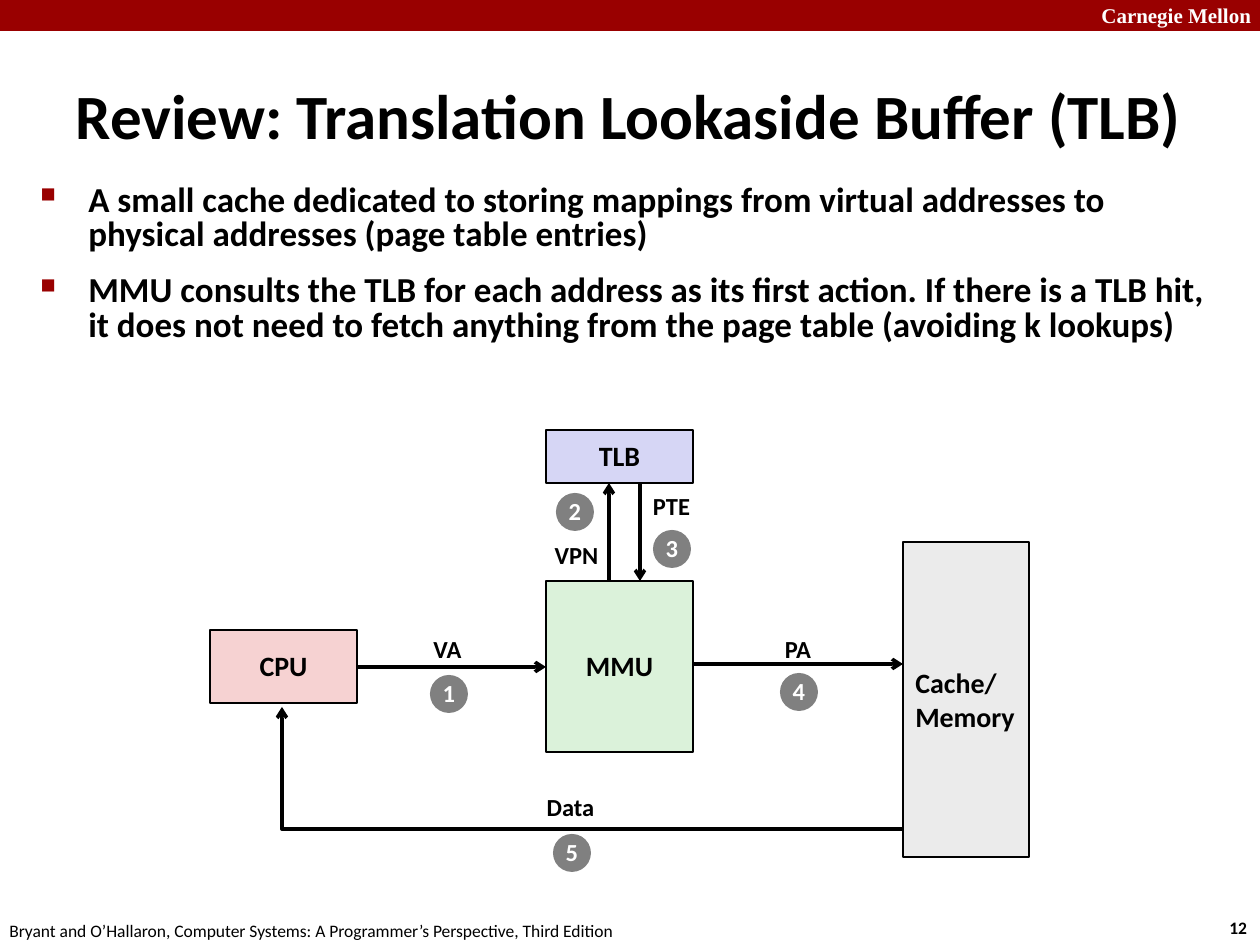
from dataclasses import dataclass
from typing import Any

from lxml import etree
from pptx import Presentation
from pptx.dml.color import RGBColor
from pptx.enum.shapes import MSO_CONNECTOR, MSO_SHAPE
from pptx.enum.text import MSO_ANCHOR, MSO_AUTO_SIZE, PP_ALIGN
from pptx.oxml.ns import qn
from pptx.util import Emu, Pt

RECTANGLE, OVAL = MSO_SHAPE.RECTANGLE, MSO_SHAPE.OVAL
STRAIGHT, ELBOW = MSO_CONNECTOR.STRAIGHT, MSO_CONNECTOR.ELBOW
LEFT, CENTER = PP_ALIGN.LEFT, PP_ALIGN.CENTER
TOP, MIDDLE = MSO_ANCHOR.TOP, MSO_ANCHOR.MIDDLE
NO_AUTOFIT = MSO_AUTO_SIZE.NONE

PX_PER_INCH = 126
BADGE_SIZE = 38
LABEL_HEIGHT = 42
COLORS = {
    "black": "000000",
    "white": "FFFFFF",
    "crimson": "990000",
    "badge": "808080",
    "cpu": "F6D2D2",
    "mmu": "DBF2DA",
    "tlb": "D6D6F5",
    "memory": "EBEBEB",
}


@dataclass(frozen=True)
class Box:
    left: int
    top: int
    width: int
    height: int


@dataclass(frozen=True)
class TextStyle:
    size: int
    bold: bool = True
    color: str = "black"
    font: str = "Calibri"
    align: Any = LEFT
    anchor: Any = MIDDLE
    wrap: bool = False
    spacing: float = 1.0


@dataclass(frozen=True)
class Unit:
    text: str
    box: Box
    fill: str
    style: TextStyle
    line_width: float = 1


@dataclass(frozen=True)
class Label:
    text: str
    left: int
    top: int
    width: int


@dataclass(frozen=True)
class Badge:
    number: int
    left: int
    top: int


@dataclass(frozen=True)
class Arrow:
    start: tuple[int, int]
    end: tuple[int, int]
    kind: Any = STRAIGHT


UNIT_STYLE = TextStyle(16, align=CENTER, spacing=0.98)
LABEL_STYLE = TextStyle(14, align=CENTER, spacing=0.98)
BADGE_STYLE = TextStyle(14, color="white", align=CENTER, spacing=0.98)
TITLE_STYLE = TextStyle(36, wrap=True)
BULLET_STYLE = TextStyle(20, anchor=TOP, wrap=True, spacing=0.83)

TITLE = "Review: Translation Lookaside Buffer (TLB)"
BULLETS = [
    "A small cache dedicated to storing mappings from virtual addresses to "
    "physical addresses (page table entries)",
    "MMU consults the TLB for each address as its first action. If there is a "
    "TLB hit, it does not need to fetch anything from the page table "
    "(avoiding k lookups)",
]
MARGIN_TEXTS = [
    ("Carnegie Mellon", Box(1089, -4, 180, 38),
     TextStyle(12, color="white", font="Times New Roman", anchor=TOP)),
    ("12", Box(1217, 911, 47, 34), TextStyle(10, anchor=TOP)),
    ("Bryant and O’Hallaron, Computer Systems: A Programmer’s Perspective, Third Edition",
     Box(-3, 914, 640, 34), TextStyle(10, bold=False, anchor=TOP)),
]
UNITS = [
    Unit("MMU", Box(546, 581, 147, 171), "mmu", UNIT_STYLE),
    Unit("Cache/\nMemory", Box(903, 542, 126, 315), "memory", TextStyle(16), 1.5),
    Unit("CPU", Box(210, 630, 147, 73), "cpu", UNIT_STYLE),
    Unit("TLB", Box(546, 430, 147, 53), "tlb", UNIT_STYLE),
]
ARROWS = [
    Arrow((357, 667), (546, 667)),
    Arrow((693, 664), (903, 664)),
    Arrow((903, 829), (282, 707), ELBOW),
    Arrow((609, 581), (609, 483)),
    Arrow((640, 483), (640, 581)),
]
LABELS = [
    Label("VA", 421, 629, 53),
    Label("PA", 772, 629, 52),
    Label("Data", 534, 787, 73),
    Label("VPN", 542, 535, 69),
    Label("PTE", 640, 486, 63),
]
BADGES = [
    Badge(1, 430, 675),
    Badge(2, 556, 493),
    Badge(3, 653, 530),
    Badge(4, 780, 673),
    Badge(5, 553, 834),
]


def px(value: int) -> Emu:
    return Emu(round(value * 914400 / PX_PER_INCH))


def color(name: str) -> RGBColor:
    return RGBColor.from_string(COLORS[name])


def frame(box: Box) -> list[Emu]:
    return [px(value) for value in (box.left, box.top, box.width, box.height)]


def set_all(target: Any, values: dict[str, Any]) -> None:
    for name, value in values.items():
        setattr(target, name, value)


def write_text(shape: Any, text: str, style: TextStyle) -> None:
    text_frame = shape.text_frame
    text_frame.text = text
    set_all(text_frame, {"auto_size": NO_AUTOFIT, "word_wrap": style.wrap,
                         "vertical_anchor": style.anchor})
    for paragraph in text_frame.paragraphs:
        set_all(paragraph, {"alignment": style.align, "line_spacing": style.spacing})
        for run in paragraph.runs:
            set_all(run.font, {"name": style.font, "size": Pt(style.size),
                               "bold": style.bold})
            run.font.color.rgb = color(style.color)


def add_text(slide: Any, text: str, box: Box, style: TextStyle) -> Any:
    shape = slide.shapes.add_textbox(*frame(box))
    write_text(shape, text, style)
    return shape


def add_filled(slide: Any, kind: Any, box: Box, fill: str) -> Any:
    shape = slide.shapes.add_shape(kind, *frame(box))
    shape.shadow.inherit = False
    shape.fill.solid()
    shape.fill.fore_color.rgb = color(fill)
    shape.line.fill.background()
    return shape


def add_unit(slide: Any, unit: Unit) -> None:
    shape = add_filled(slide, RECTANGLE, unit.box, unit.fill)
    shape.line.color.rgb = color("black")
    shape.line.width = Pt(unit.line_width)
    write_text(shape, unit.text, unit.style)


def add_badge(slide: Any, badge: Badge) -> None:
    box = Box(badge.left, badge.top, BADGE_SIZE, BADGE_SIZE)
    write_text(add_filled(slide, OVAL, box, "badge"), str(badge.number), BADGE_STYLE)


def add_arrow(slide: Any, arrow: Arrow) -> None:
    points = [px(value) for value in (*arrow.start, *arrow.end)]
    connector = slide.shapes.add_connector(arrow.kind, *points)
    connector.line.color.rgb = color("black")
    connector.line.width = Pt(2)
    properties = connector._element.spPr
    etree.SubElement(properties.find(qn("a:ln")), qn("a:tailEnd"), type="arrow")
    etree.SubElement(properties, qn("a:effectLst"))
    if arrow.kind == ELBOW:
        properties.find(qn("a:prstGeom")).set("prst", "bentConnector2")


def add_bullets(slide: Any) -> None:
    shape = add_text(slide, "\n".join(BULLETS), Box(28, 178, 1207, 224), BULLET_STYLE)
    for index, paragraph in enumerate(shape.text_frame.paragraphs):
        properties = paragraph._p.get_or_add_pPr()
        properties.set("marL", str(px(48)))
        properties.set("indent", str(px(-48)))
        bullet_color = etree.SubElement(properties, qn("a:buClr"))
        etree.SubElement(bullet_color, qn("a:srgbClr"), val=COLORS["crimson"])
        etree.SubElement(properties, qn("a:buSzPct"), val="60000")
        etree.SubElement(properties, qn("a:buChar"), char="■")
        paragraph.space_before = Pt(12 if index else 0)


def main() -> None:
    presentation = Presentation()
    set_all(presentation, {"slide_width": px(1260), "slide_height": px(945)})
    slide = presentation.slides.add_slide(presentation.slide_layouts[5])
    add_filled(slide, RECTANGLE, Box(0, 0, 1260, 31), "crimson")
    for text, box, style in MARGIN_TEXTS:
        add_text(slide, text, box, style)
    title = slide.shapes.title
    title_frame = frame(Box(63, 60, 1201, 108))
    set_all(title, dict(zip(("left", "top", "width", "height"), title_frame)))
    write_text(title, TITLE, TITLE_STYLE)
    add_bullets(slide)
    for unit in UNITS:
        add_unit(slide, unit)
    for arrow in ARROWS:
        add_arrow(slide, arrow)
    for label in LABELS:
        box = Box(label.left, label.top, label.width, LABEL_HEIGHT)
        add_text(slide, label.text, box, LABEL_STYLE)
    for badge in BADGES:
        add_badge(slide, badge)
    presentation.save("out.pptx")


if __name__ == "__main__":
    main()
